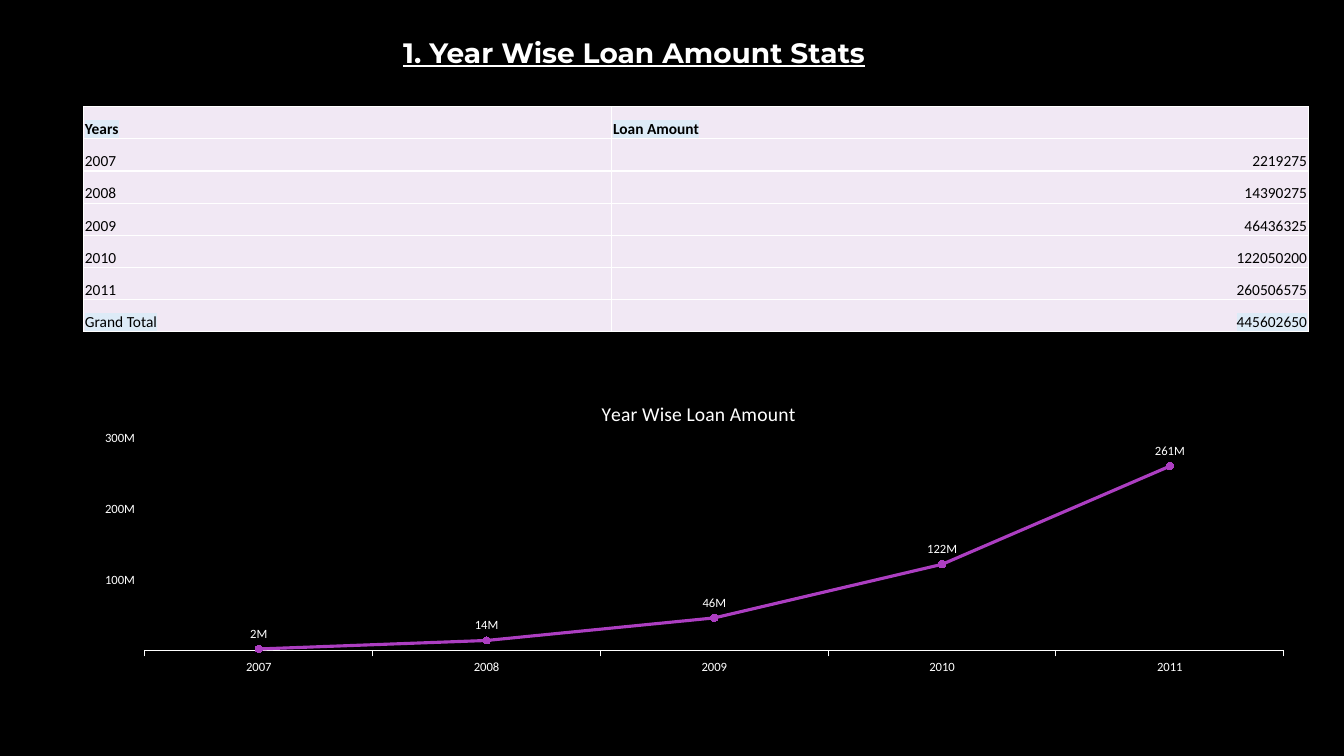
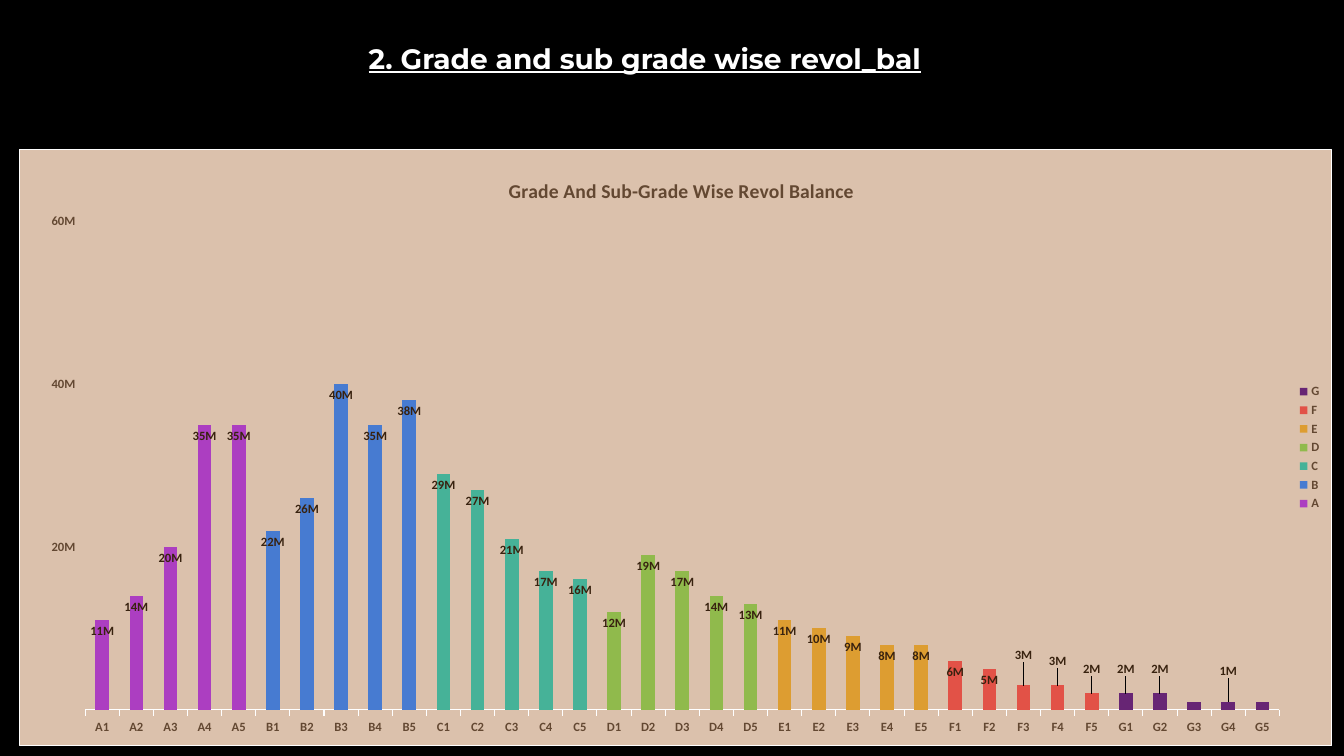
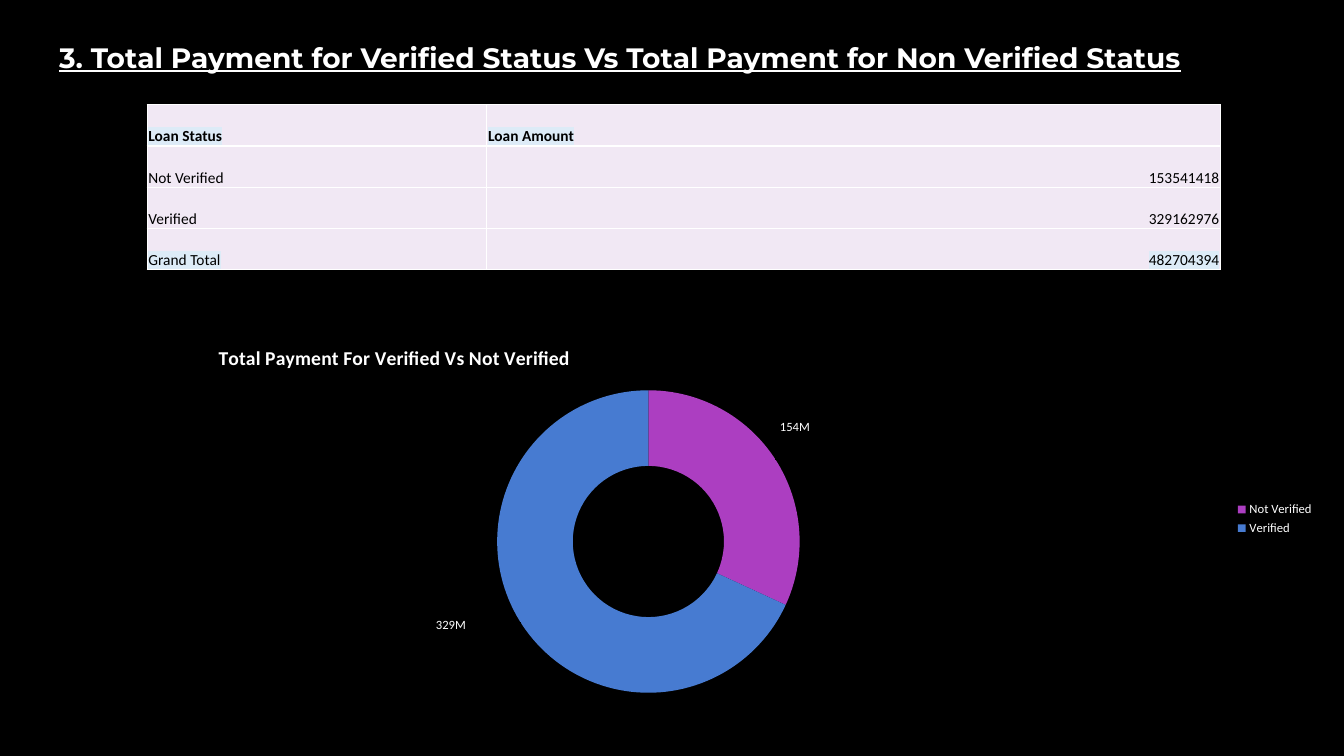
from pptx import Presentation
from pptx.chart.data import CategoryChartData as Data
from pptx.dml.color import RGBColor as RGB
from pptx.enum.chart import XL_CHART_TYPE as Kind
from pptx.enum.chart import XL_LABEL_POSITION as Spot
from pptx.enum.chart import XL_LEGEND_POSITION as Side
from pptx.enum.chart import XL_MARKER_STYLE as Mark
from pptx.enum.chart import XL_TICK_MARK as Tick
from pptx.enum.text import MSO_ANCHOR as Anchor
from pptx.enum.text import MSO_AUTO_SIZE as Fit
from pptx.enum.text import PP_ALIGN as Align
from pptx.oxml import parse_xml
from pptx.oxml.ns import nsdecls, qn
from pptx.util import Cm, Pt

HUES = {
    "black": "000000", "white": "FFFFFF", "cell": "F1E8F4", "glow": "DDEBF7",
    "sand": "DBC1AC", "brown": "634832", "dark": "38220F",
    "A": "AC3EC1", "B": "477BD1", "C": "46B298", "D": "90BA4C",
    "E": "DD9D31", "F": "E25247", "G": "672574",
}
MIL = 1000000
AXIS = '[>9999999]#,,"M";'
LABEL = '[>999999]#,,"M";'


def node(tag, body="", attrs=""):
    return parse_xml(f"<{tag} {nsdecls('a', 'c')} {attrs}>{body}</{tag}>")


def solid(hue):
    return f'<a:solidFill><a:srgbClr val="{HUES[hue]}"/></a:solidFill>'


def place(edge, **spots):
    modes = "".join(f'<c:{k}Mode val="edge"/>' for k in "xy") if edge else ""
    nums = "".join(f'<c:{k} val="{v}"/>' for k, v in spots.items())
    inner = '<c:layoutTarget val="inner"/>' if "w" in spots else ""
    return node("c:layout", f"<c:manualLayout>{inner}{modes}{nums}</c:manualLayout>")


class Deck:
    def __init__(self):
        self.show = Presentation()
        self.show.slide_width, self.show.slide_height = Cm(33.87), Cm(19.05)
        self.slide = None

    def font(self, font, size, hue="white", bold=False, face="Calibri"):
        font.size, font.bold, font.name = Pt(size), bold, face
        font.fill.solid()
        font.fill.fore_color.rgb = RGB.from_string(HUES[hue])

    def paint(self, fill, hue):
        fill.solid()
        fill.fore_color.rgb = RGB.from_string(HUES[hue])

    def page(self, text, left, top, width=21.29):
        self.slide = self.show.slides.add_slide(self.show.slide_layouts[6])
        self.paint(self.slide.background.fill, "black")
        box = self.slide.shapes.add_textbox(Cm(left), Cm(top), Cm(width), Cm(1.12))
        frame = box.text_frame
        frame.word_wrap = True
        frame.auto_size = Fit.SHAPE_TO_FIT_TEXT
        frame.text = text
        font = frame.paragraphs[0].runs[0].font
        self.font(font, 20, bold=True, face="Montserrat")
        font.underline = True

    def cell(self, cell, text, head, glow, right):
        cell.text = text
        cell.vertical_anchor = Anchor.BOTTOM
        cell.margin_left = cell.margin_right = cell.margin_top = Cm(0.03)
        cell.margin_bottom = 0
        self.paint(cell.fill, "cell")
        props = cell._tc.get_or_add_tcPr()
        for i, side in enumerate("LRTB"):
            props.insert(i, node(f"a:ln{side}", solid("white"), 'w="12700"'))
        para = cell.text_frame.paragraphs[0]
        para.alignment = Align.RIGHT if right else Align.LEFT
        run = para.runs[0]
        self.font(run.font, 11, "black", head)
        if glow:
            mark = node("a:highlight", f'<a:srgbClr val="{HUES["glow"]}"/>')
            run._r.rPr.find(qn("a:solidFill")).addnext(mark)

    def table(self, rows, left, top, cols, height):
        frame = self.slide.shapes.add_table(
            len(rows), len(cols), Cm(left), Cm(top), Cm(sum(cols)), Cm(height * len(rows)))
        table = frame.table
        table.first_row = table.horz_banding = False
        for col, width in zip(table.columns, cols):
            col.width = Cm(width)
        last = len(rows) - 1
        for r, row in enumerate(rows):
            table.rows[r].height = Cm(height)
            for c, text in enumerate(row):
                self.cell(table.cell(r, c), text, r == 0, r in (0, last), r > 0 and c == 1)

    def chart(self, kind, cats, sets, box, title, spot, plot, hue="white", bold=False, back=None):
        data = Data()
        data.categories = cats
        for name, vals in sets:
            data.add_series(name, [v and v * MIL for v in vals])
        chart = self.slide.shapes.add_chart(kind, *map(Cm, box), data).chart
        self.font(chart.font, 10)
        chart.has_legend = False
        chart.has_title = True
        frame = chart.chart_title.text_frame
        frame.text = title
        self.font(frame.paragraphs[0].runs[0].font, 14, hue, bold)
        chart.chart_title.include_in_layout = False
        head = chart.chart_title._element
        for old in head.findall(qn("c:layout")):
            head.remove(old)
        head.find(qn("c:tx")).addnext(place(True, x=spot[0], y=spot[1]))
        root = chart._chartSpace.find(qn("c:chart"))
        area = root.find(qn("c:plotArea"))
        for old in area.findall(qn("c:layout")):
            area.remove(old)
        area.insert(0, place(True, **dict(zip("xywh", plot))))
        bare = "<a:noFill/><a:ln><a:noFill/></a:ln>"
        area.append(node("c:spPr", bare))
        look = f'{solid(back)}<a:ln w="9525">{solid("white")}</a:ln>' if back else bare
        root.addnext(node("c:spPr", look))
        chart.plots[0].vary_by_categories = False
        return chart

    def axes(self, chart, top, step, hue="white", bold=False):
        cat, val = chart.category_axis, chart.value_axis
        for axis in (cat, val):
            axis.has_major_gridlines = False
            axis.major_tick_mark = Tick.OUTSIDE
            axis.minor_tick_mark = Tick.NONE
            self.font(axis.tick_labels.font, 9, hue, bold)
        self.paint(cat.format.line.fill, "white")
        cat.format.line.width = Pt(0.75)
        val.format.line.fill.background()
        val.minimum_scale, val.maximum_scale, val.major_unit = 0, top * MIL, step * MIL
        val.tick_labels.number_format = AXIS
        val.tick_labels.number_format_is_linked = False

    def legend(self, chart, hue="white", bold=False):
        chart.has_legend = True
        chart.legend.position = Side.RIGHT
        chart.legend.include_in_layout = False
        self.font(chart.legend.font, 9, hue, bold)

    def labels(self, line, spot=None, form=LABEL, hue="white", bold=False, moves=None, lead=False):
        tags = line.data_labels
        tags.show_value = True
        tags.number_format, tags.number_format_is_linked = form, False
        self.font(tags.font, 9, hue, bold)
        if spot is not None:
            tags.position = spot
        if not lead:
            for item in line._element.xpath("c:dLbls/c:showLeaderLines"):
                item.getparent().remove(item)
        for i, move in sorted((moves or {}).items()):
            tag = line.points[i].data_label
            self.font(tag.font, 9, hue, bold)
            if spot is not None:
                tag.position = spot
            item = line._element.xpath("c:dLbls/c:dLbl[last()]")[0]
            if move:
                item.insert(1, place(False, x=move[0], y=move[1]))
            else:
                for child in list(item)[1:]:
                    item.remove(child)
                item.append(node("c:delete", attrs='val="1"'))


def years(deck):
    deck.page("1. Year Wise Loan Amount Stats", 9.91, 0.76)
    names = ["2007", "2008", "2009", "2010", "2011"]
    sums = ["2219275", "14390275", "46436325", "122050200", "260506575"]
    rows = [("Years", "Loan Amount"), *zip(names, sums), ("Grand Total", "445602650")]
    deck.table(rows, 2.11, 2.69, (13.31, 17.55), 0.81)
    chart = deck.chart(
        Kind.LINE_MARKERS_STACKED, names, [("Series 1", [2, 14, 46, 122, 261])],
        (2.11, 9.53, 30.86, 9.53), "Year Wise Loan Amount", (0.42, 0.05),
        (0.05, 0.16, 0.93, 0.56))
    deck.axes(chart, 300, 100)
    line = chart.plots[0].series[0]
    line.smooth = False
    deck.paint(line.format.line.fill, "A")
    line.format.line.width = Pt(2.25)
    line.marker.style, line.marker.size = Mark.CIRCLE, 5
    deck.paint(line.marker.format.fill, "A")
    deck.paint(line.marker.format.line.fill, "A")
    deck.labels(line, Spot.ABOVE)


def grades(deck):
    deck.page("2. Grade and sub grade wise revol_bal", 9.04, 0.91)
    sums = {
        "A": [11, 14, 20, 35, 35], "B": [22, 26, 40, 35, 38],
        "C": [29, 27, 21, 17, 16], "D": [12, 19, 17, 14, 13],
        "E": [11, 10, 9, 8, 8], "F": [6, 5, 3, 3, 2], "G": [2, 2, 1, 1, 1],
    }
    moves = {
        "F": {27: (0, -0.07), 28: (0, -0.06), 29: (0, -0.06)},
        "G": {30: (0, -0.06), 31: (0, -0.06), 32: None, 33: (0, -0.07), 34: None},
    }
    cats = [f"{name}{i}" for name in sums for i in range(1, 6)]
    sets = [(name, [None] * 5 * i + vals + [None] * 5 * (len(sums) - 1 - i))
            for i, (name, vals) in enumerate(sums.items())]
    chart = deck.chart(
        Kind.COLUMN_STACKED, cats, sets, (0.48, 3.76, 33.1, 15.04),
        "Grade And Sub-Grade Wise Revol Balance", (0.37, 0.04),
        (0.05, 0.12, 0.91, 0.82), "brown", True, "sand")
    deck.axes(chart, 60, 20, "brown", True)
    deck.legend(chart, "brown", True)
    plot = chart.plots[0]
    plot.gap_width, plot.overlap = 150, 100
    for bar in plot.series:
        deck.paint(bar.format.fill, bar.name)
        deck.labels(bar, Spot.INSIDE_END, hue="dark", bold=True, moves=moves.get(bar.name))


def status(deck):
    deck.page("3. Total Payment for Verified Status Vs Total Payment for Non Verified Status",
              1.24, 0.89, 30.86)
    rows = [("Loan Status", "Loan Amount"), ("Not Verified", "153541418"),
            ("Verified", "329162976"), ("Grand Total", "482704394")]
    deck.table(rows, 3.71, 2.64, (8.56, 18.49), 1.04)
    chart = deck.chart(
        Kind.DOUGHNUT, ["Not Verified", "Verified"], [("Series 1", [154, 329])],
        (1.24, 8.31, 32.13, 9.53), "Total Payment For Verified Vs Not Verified",
        (0.13, 0.03), (0.35, 0.16, 0.24, 0.8), bold=True)
    deck.legend(chart)
    chart.plots[0].vary_by_categories = True
    chart._chartSpace.xpath(".//c:holeSize")[0].set("val", "75")
    ring = chart.plots[0].series[0]
    for i, hue in enumerate("AB"):
        deck.paint(ring.points[i].format.fill, hue)
    deck.labels(ring, form=AXIS, moves={0: (0.04, -0.14), 1: (-0.08, 0.06)}, lead=True)


def main():
    deck = Deck()
    for build in (years, grades, status):
        build(deck)
    deck.show.save("out.pptx")


if __name__ == "__main__":
    main()
